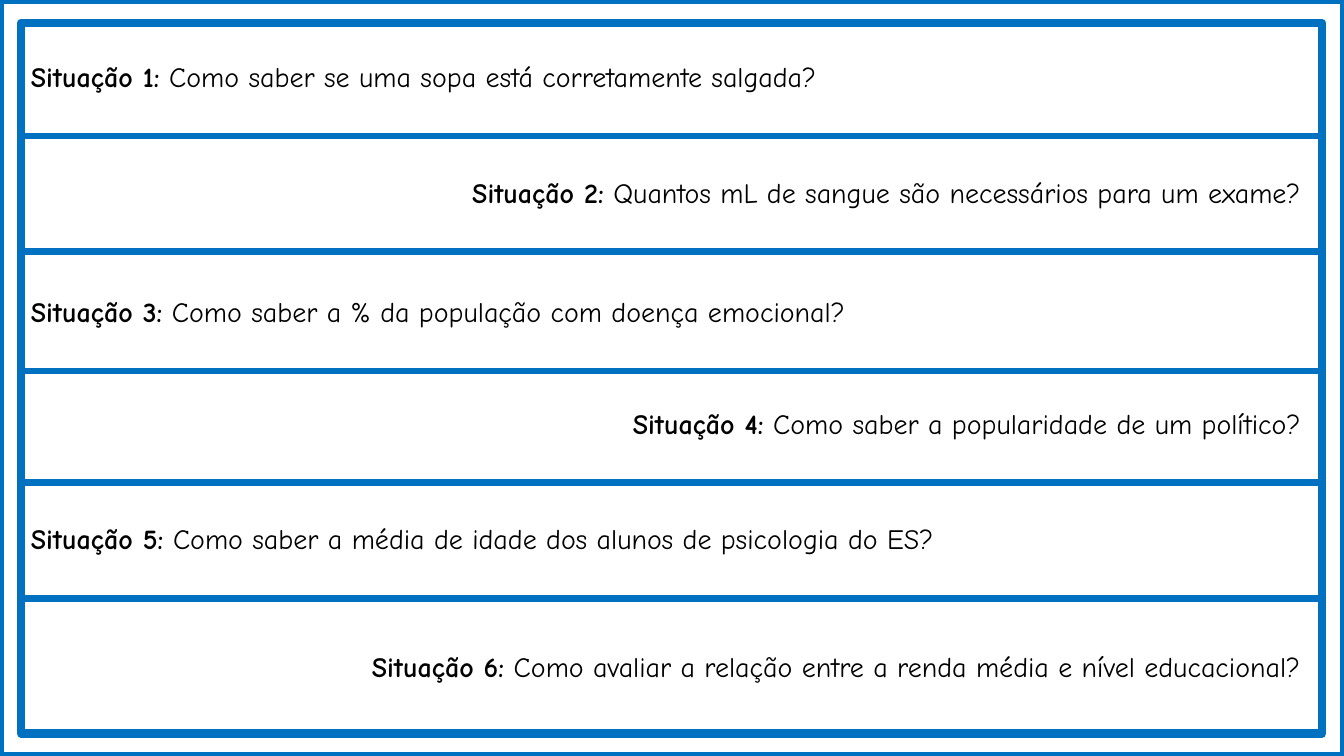
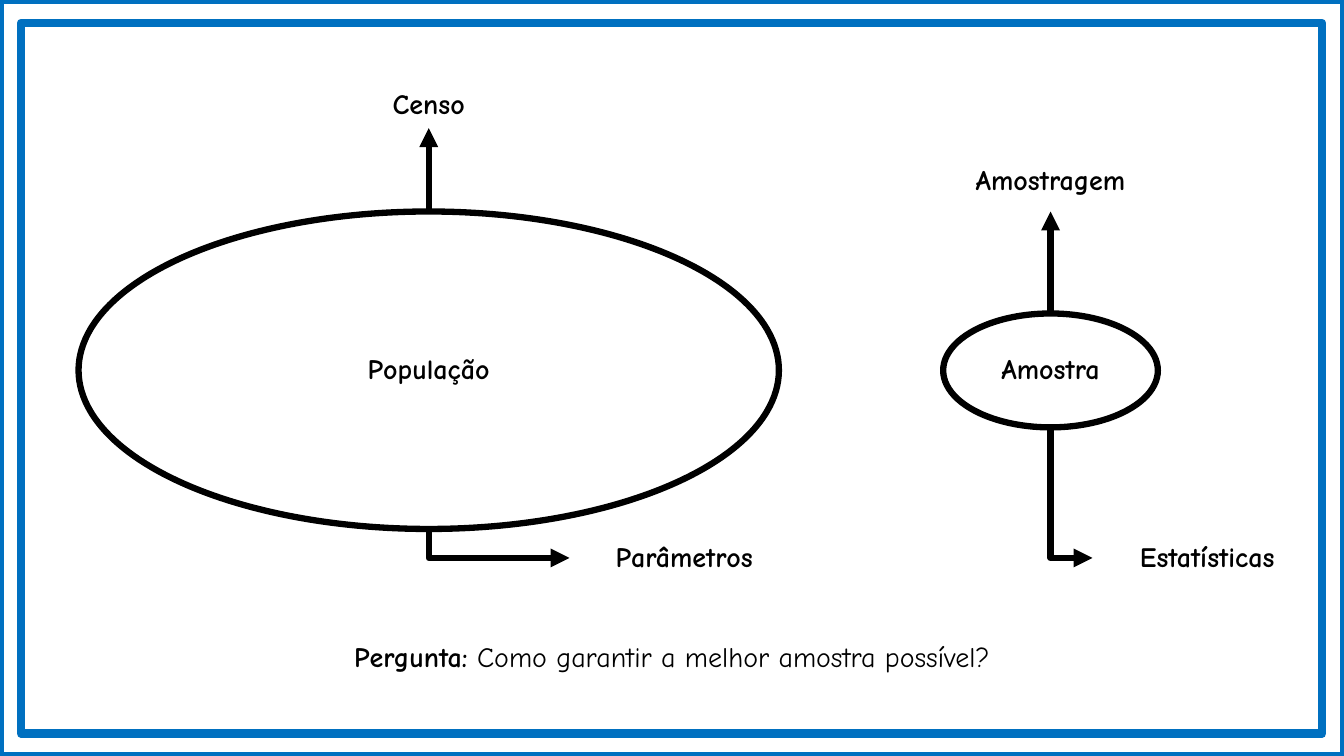
from lxml import etree
from pptx import Presentation
from pptx.dml.color import RGBColor
from pptx.enum.shapes import MSO_CONNECTOR, MSO_SHAPE
from pptx.enum.text import MSO_ANCHOR, PP_ALIGN
from pptx.oxml.ns import qn
from pptx.util import Cm, Pt

RECT, OVAL = MSO_SHAPE.RECTANGLE, MSO_SHAPE.OVAL
STRAIGHT, ELBOW = MSO_CONNECTOR.STRAIGHT, MSO_CONNECTOR.ELBOW
JUSTIFY, CENTER, RIGHT = PP_ALIGN.JUSTIFY, PP_ALIGN.CENTER, PP_ALIGN.RIGHT
MIDDLE = MSO_ANCHOR.MIDDLE

BLUE, BLACK = "0070C0", "000000"
FONT, SIZE = "Comic Neue", 20

# All lengths are in centimetres.
WIDTH, HEIGHT = 33.87, 19.05
LEFT, TOP, INNER_W, INNER_H = 0.53, 0.58, 32.79, 17.91
TEXT_H, LABEL_W = 2.36, 5.79
BAR_DROP, BAR_H = 2.57, 0.13
ROW_INSET = 0.53

CASES = [
    (0.79, "Como saber se uma sopa está corretamente salgada?"),
    (3.71, "Quantos mL de sangue são necessários para um exame?"),
    (6.71, "Como saber a % da população com doença emocional?"),
    (9.53, "Como saber a popularidade de um político?"),
    (12.45, "Como saber a média de idade dos alunos de psicologia do ES?"),
    (15.67, "Como avaliar a relação entre a renda média e nível educacional?"),
]

GROUPS = [
    dict(name="População", oval=(1.98, 5.33, 17.65, 8.0),
         above="Censo", above_top=1.47, tip=3.23,
         side="Parâmetros", side_left=14.35),
    dict(name="Amostra", oval=(23.77, 7.9, 5.41, 2.87),
         above="Amostragem", above_top=3.4, tip=5.33,
         side="Estatísticas", side_left=27.53),
]
SIDE_TOP = 12.88
QUESTION = ("Pergunta:", "Como garantir a melhor amostra possível?")
QUESTION_BOX = (4.39, 15.42, 25.1, TEXT_H)


def color(code):
    return RGBColor.from_string(code)


def write(shape, bold, plain="", align=CENTER):
    """Set a bold lead, followed by plain text."""
    frame = shape.text_frame
    frame.word_wrap = True
    frame.vertical_anchor = MIDDLE
    para = frame.paragraphs[0]
    para.alignment = align
    para.line_spacing = 0.9
    para.space_before = Pt(10)
    para.text = bold
    if plain:
        para.add_run().text = " " + plain
    for i, run in enumerate(para.runs):
        font = run.font
        font.name, font.size, font.bold = FONT, Pt(SIZE), i == 0
        font.color.rgb = color(BLACK)


def add_text(slide, box, bold, plain="", align=CENTER):
    shape = slide.shapes.add_textbox(*map(Cm, box))
    write(shape, bold, plain, align)
    return shape


def add_shape(slide, kind, box, line, weight, fill=None):
    shape = slide.shapes.add_shape(kind, *map(Cm, box))
    shape.shadow.inherit = False
    shape.line.color.rgb = color(line)
    shape.line.width = Pt(weight)
    if fill:
        shape.fill.solid()
        shape.fill.fore_color.rgb = color(fill)
    else:
        shape.fill.background()
    return shape


def add_arrow(slide, kind, *ends):
    arrow = slide.shapes.add_connector(kind, *map(Cm, ends))
    arrow.line.color.rgb = color(BLACK)
    arrow.line.width = Pt(4.5)
    props = arrow._element.spPr
    etree.SubElement(props.find(qn("a:ln")), qn("a:tailEnd"), type="triangle")
    etree.SubElement(props, qn("a:effectLst"))
    return arrow


def add_bend(slide, oval, label, x, y, end_x, end_y):
    """Go down from the oval's foot, then right to the label's left side."""
    drop, run = end_y - y, end_x - x
    mid_x, mid_y = x + run / 2, y + drop / 2
    # The one-corner elbow is drawn mirrored, then turned by 270 degrees.
    arrow = add_arrow(slide, ELBOW, mid_x + drop / 2, mid_y - run / 2,
                      mid_x - drop / 2, mid_y + run / 2)
    props = arrow._element.spPr
    props.find(qn("a:prstGeom")).set("prst", "bentConnector2")
    props.find(qn("a:xfrm")).set("rot", str(270 * 60000))
    links = arrow._element.nvCxnSpPr.cNvCxnSpPr
    for tag, shape, site in (("a:stCxn", oval, 4), ("a:endCxn", label, 1)):
        etree.SubElement(links, qn(tag), id=str(shape.shape_id), idx=str(site))


def add_slide(deck):
    """Add a blank slide with the double blue frame."""
    slide = deck.slides.add_slide(deck.slide_layouts[6])
    for box in ((0, 0, WIDTH, HEIGHT), (LEFT, TOP, INNER_W, INNER_H)):
        add_shape(slide, RECT, box, BLUE, 6)
    return slide


def add_cases(deck):
    slide = add_slide(deck)
    for num, (top, text) in enumerate(CASES, 1):
        row = add_text(slide, (LEFT, top, INNER_W, TEXT_H),
                       f"Situação {num}:", text, JUSTIFY if num % 2 else RIGHT)
        row.text_frame.margin_right = Cm(ROW_INSET)
        if num < len(CASES):
            bar = (LEFT, top + BAR_DROP, INNER_W, BAR_H)
            add_shape(slide, RECT, bar, BLUE, 1, BLUE)


def add_scheme(deck):
    slide = add_slide(deck)
    for group in GROUPS:
        left, top, width, height = group["oval"]
        mid = left + width / 2
        oval = add_shape(slide, OVAL, group["oval"], BLACK, 4.5)
        write(oval, group["name"])
        add_text(slide, (mid - LABEL_W / 2, group["above_top"], LABEL_W, TEXT_H),
                 group["above"])
        add_arrow(slide, STRAIGHT, mid, top, mid, group["tip"])
        side = add_text(slide, (group["side_left"], SIDE_TOP, LABEL_W, TEXT_H),
                        group["side"])
        add_bend(slide, oval, side, mid, top + height,
                 group["side_left"], SIDE_TOP + TEXT_H / 2)
    add_text(slide, QUESTION_BOX, *QUESTION)


def main():
    deck = Presentation()
    deck.slide_width, deck.slide_height = Cm(WIDTH), Cm(HEIGHT)
    add_cases(deck)
    add_scheme(deck)
    deck.save("out.pptx")


if __name__ == "__main__":
    main()
